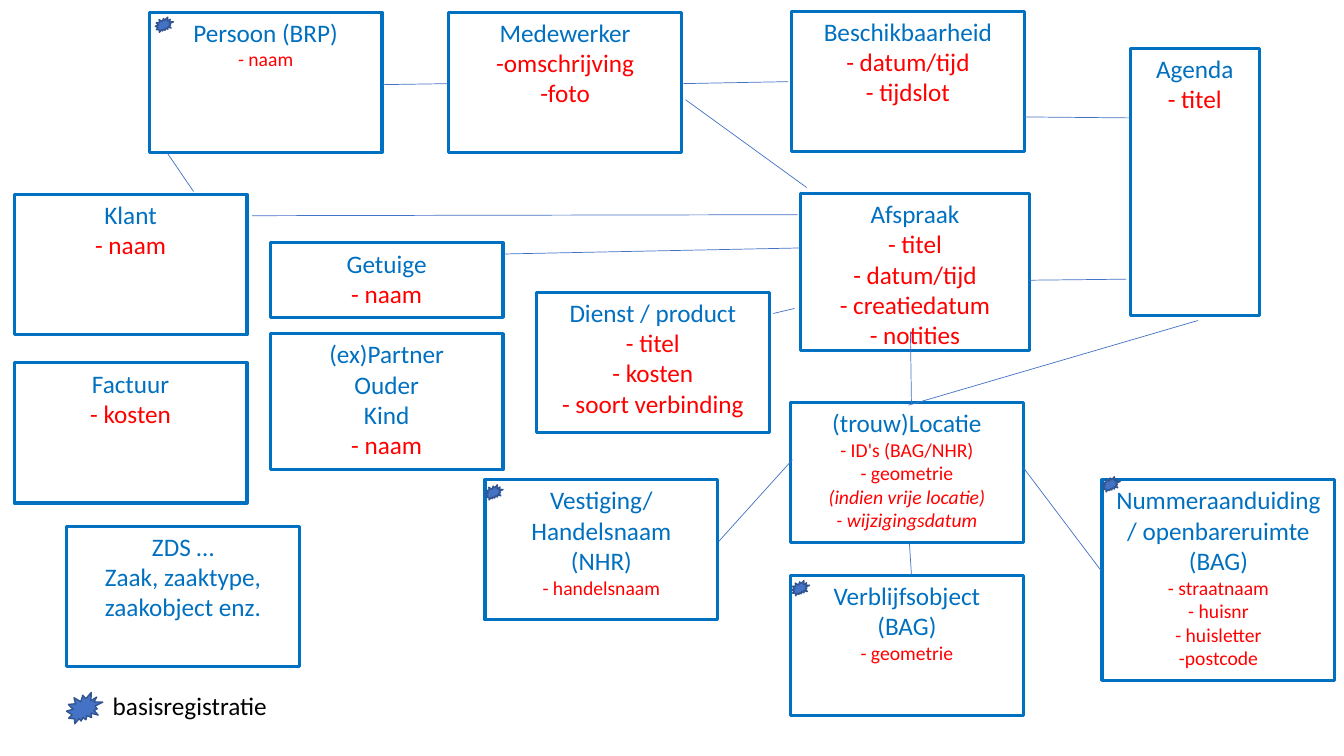
from lxml.etree import SubElement
from pptx import Presentation
from pptx.dml.color import RGBColor as Rgb
from pptx.enum.shapes import MSO_CONNECTOR as Link, MSO_SHAPE as Shape
from pptx.enum.text import MSO_ANCHOR as Anchor, PP_ALIGN as Align
from pptx.oxml.ns import qn
from pptx.util import Inches, Pt

COLORS = {"title": "0070C0", "field": "FF0000", "link": "4472C4",
          "edge": "325491", "text": "000000"}
WIDE, HIGH = 2.31, 1.39

# left, top, width, height, titles, fields, field size, italic fields
BOXES = [
    (11.21, 0.48, 1.28, 2.65, ["Agenda"], ["- titel"], 18, []),
    (7.94, 1.92, 2.27, 1.56, ["Afspraak"],
     ["- titel", "- datum/tijd", "- creatiedatum", "- notities"], 18, []),
    (7.85, 0.11, WIDE, HIGH, ["Beschikbaarheid"],
     ["- datum/tijd", "- tijdslot"], 18, []),
    (7.84, 3.99, WIDE, HIGH, ["(trouw)Locatie"],
     ["- ID's (BAG/NHR)", "- geometrie"], 14,
     ["(indien vrije locatie)", "- wijzigingsdatum"]),
    (10.93, 4.76, WIDE, 1.99, ["Nummeraanduiding / openbareruimte", "(BAG)"],
     ["- straatnaam", "- huisnr", "- huisletter", "-postcode"], 14, []),
    (7.84, 5.71, WIDE, HIGH, ["Verblijfsobject", "(BAG)"],
     ["- geometrie"], 14, []),
    (0.14, 1.93, WIDE, HIGH, ["Klant"], ["- naam"], 18, []),
    (1.48, 0.12, WIDE, HIGH, ["Persoon (BRP)"], ["- naam"], 14, []),
    (4.81, 4.76, WIDE, HIGH, ["Vestiging/ Handelsnaam", "(NHR)"],
     ["- handelsnaam"], 14, []),
    (4.45, 0.12, WIDE, HIGH, ["Medewerker"],
     ["-omschrijving", "-foto"], 18, []),
    (0.66, 5.22, WIDE, HIGH, ["ZDS …", "Zaak, zaaktype, zaakobject enz."],
     [], 18, []),
    (5.32, 2.9, WIDE, HIGH, ["Dienst / product"],
     ["- titel", "- kosten", "- soort verbinding"], 18, []),
    (2.68, 2.41, WIDE, 0.74, ["Getuige"], ["- naam"], 18, []),
    (0.14, 3.6, WIDE, HIGH, ["Factuur"], ["- kosten"], 18, []),
    (2.68, 3.31, WIDE, 1.35, ["(ex)Partner", "Ouder", "Kind"],
     ["- naam"], 18, []),
]
LINKS = [
    (7.13, 5.37, 7.86, 4.56), (9.02, 5.39, 9.04, 5.7),
    (10.92, 5.66, 10.15, 4.64), (11.88, 3.18, 9.01, 4.02),
    (11.17, 2.77, 10.2, 2.78), (11.21, 1.17, 10.15, 1.16),
    (7.88, 3.06, 7.67, 3.11), (6.76, 0.83, 7.82, 0.81),
    (9.04, 4, 9.03, 3.29), (3.79, 0.84, 4.44, 0.83),
    (7.91, 2.13, 2.5, 2.14), (1.66, 1.52, 1.92, 1.9),
    (6.8, 0.99, 8, 1.86), (7.94, 2.46, 5, 2.52),
]
SEALS = [(1.54, 0.17), (4.81, 4.81), (7.85, 5.76), (10.93, 4.73)]


def color(name):
    """Return the named colour."""
    return Rgb.from_string(COLORS[name])


def style(font, size, name, slant=False):
    """Set size, colour and slant of a font."""
    font.name = "Calibri"
    font.size = Pt(size)
    font.italic = slant
    font.color.rgb = color(name)


def add_box(slide, left, top, width, height, titles, fields, size, slants):
    """Draw an entity with its titles and fields."""
    box = slide.shapes.add_shape(Shape.RECTANGLE, *map(Inches, (left, top, width, height)))
    box.shadow.inherit = False
    box.fill.background()
    box.line.color.rgb = color("title")
    box.line.width = Pt(2.25)
    frame = box.text_frame
    frame.word_wrap = True
    frame.vertical_anchor = Anchor.TOP
    lines = titles + fields + slants
    frame.text = "\n".join(lines)
    for i, par in enumerate(frame.paragraphs):
        par.alignment = Align.CENTER
        if i < len(titles):
            style(par.font, 18, "title")
        else:
            style(par.font, size, "field", i >= len(lines) - len(slants))


def add_link(slide, ends):
    """Draw a thin line between two points."""
    link = slide.shapes.add_connector(Link.STRAIGHT, *map(Inches, ends))
    link.line.color.rgb = color("link")
    link.line.width = Pt(0.5)
    SubElement(link.element.spPr, qn("a:effectLst"))


def add_seal(slide, left, top, width=0.18, height=0.15):
    """Draw the mark of a base register."""
    seal = slide.shapes.add_shape(Shape.EXPLOSION2, *map(Inches, (left, top, width, height)))
    seal.shadow.inherit = False
    seal.fill.solid()
    seal.fill.fore_color.rgb = color("link")
    seal.line.color.rgb = color("edge")
    seal.line.width = Pt(1)


def add_key(slide, left, top):
    """Draw the legend."""
    add_seal(slide, left, top + 0.07, 0.36, 0.31)
    label = slide.shapes.add_textbox(*map(Inches, (left + 0.36, top, 3, 0.4)))
    label.text_frame.word_wrap = True
    par = label.text_frame.paragraphs[0]
    par.text = "basisregistratie"
    style(par.font, 18, "text")


def main():
    """Build and save the slide."""
    deck = Presentation()
    deck.slide_width, deck.slide_height = Inches(13.33), Inches(7.5)
    slide = deck.slides.add_slide(deck.slide_layouts[6])
    for box in BOXES:
        add_box(slide, *box)
    for ends in LINKS:
        add_link(slide, ends)
    for spot in SEALS:
        add_seal(slide, *spot)
    add_key(slide, 0.66, 6.8)
    deck.save("out.pptx")


if __name__ == "__main__":
    main()
